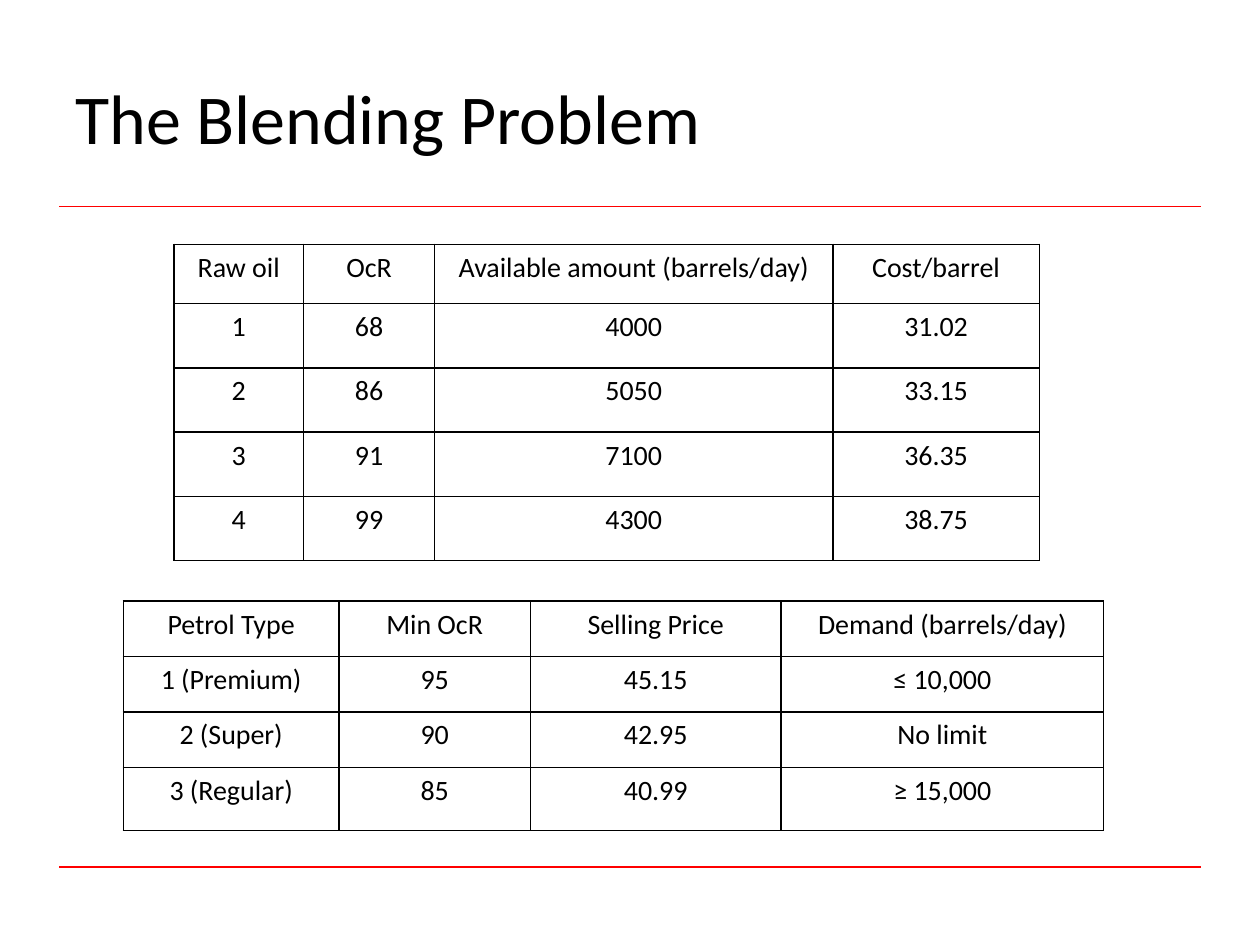
from dataclasses import dataclass

from lxml.etree import SubElement
from pptx import Presentation
from pptx.dml.color import RGBColor
from pptx.enum.shapes import MSO_CONNECTOR
from pptx.enum.text import MSO_ANCHOR, PP_ALIGN
from pptx.oxml.ns import qn
from pptx.util import Inches, Pt

SLIDE_WIDTH, SLIDE_HEIGHT = 10, 7.5


@dataclass(frozen=True)
class Theme:
    font: str = "Calibri"
    ink: str = "000000"
    paper: str = "FFFFFF"
    accent: str = "FF0000"
    title_size: int = 40
    table_size: int = 16
    line_width: int = 1


THEME = Theme()

RAW_OILS = [
    ["Raw oil", "OcR", "Available amount (barrels/day)", "Cost/barrel"],
    ["1", "68", "4000", "31.02"],
    ["2", "86", "5050", "33.15"],
    ["3", "91", "7100", "36.35"],
    ["4", "99", "4300", "38.75"],
]
PETROLS = [
    ["Petrol Type", "Min OcR", "Selling Price", "Demand (barrels/day)"],
    ["1 (Premium)", "95", "45.15", "≤ 10,000"],
    ["2 (Super)", "90", "42.95", "No limit"],
    ["3 (Regular)", "85", "40.99", "≥ 15,000"],
]


def add_run(paragraph, text, size):
    run = paragraph.add_run()
    run.text = text
    run.font.name = THEME.font
    run.font.size = Pt(size)
    run.font.bold = False
    run.font.color.rgb = RGBColor.from_string(THEME.ink)


def add_rule(slide, top):
    """Draw a horizontal rule with equal side margins."""
    margin = 0.47
    rule = slide.shapes.add_connector(
        MSO_CONNECTOR.STRAIGHT,
        Inches(margin), Inches(top), Inches(SLIDE_WIDTH - margin), Inches(top),
    )
    rule.line.color.rgb = RGBColor.from_string(THEME.accent)
    rule.line.width = Pt(THEME.line_width)
    SubElement(rule.element.spPr, qn("a:effectLst"))


def add_title(slide, text):
    box = slide.shapes.add_textbox(
        Inches(0.5), Inches(0.3), Inches(7.23), Inches(1.25)
    )
    frame = box.text_frame
    frame.word_wrap = True
    frame.vertical_anchor = MSO_ANCHOR.MIDDLE
    add_run(frame.paragraphs[0], text, THEME.title_size)


def add_borders(cell):
    """Outline a cell; borders must come before its fill in the XML."""
    properties = cell._tc.get_or_add_tcPr()
    for position, side in enumerate(("lnL", "lnR", "lnT", "lnB")):
        border = SubElement(properties, qn(f"a:{side}"), w=str(Pt(THEME.line_width)))
        fill = SubElement(border, qn("a:solidFill"))
        SubElement(fill, qn("a:srgbClr"), val=THEME.ink)
        properties.insert(position, border)


def add_grid(slide, left, top, columns, heights, rows):
    """Add a bordered table with the given column widths and row heights."""
    table = slide.shapes.add_table(
        len(rows), len(columns), Inches(left), Inches(top),
        Inches(sum(columns)), Inches(sum(heights)),
    ).table
    table.first_row = table.horz_banding = False
    for column, width in zip(table.columns, columns):
        column.width = Inches(width)
    for row, height, texts in zip(table.rows, heights, rows):
        row.height = Inches(height)
        for cell, text in zip(row.cells, texts):
            cell.fill.solid()
            cell.fill.fore_color.rgb = RGBColor.from_string(THEME.paper)
            add_borders(cell)
            paragraph = cell.text_frame.paragraphs[0]
            paragraph.alignment = PP_ALIGN.CENTER
            add_run(paragraph, text, THEME.table_size)


def main():
    presentation = Presentation()
    presentation.slide_width = Inches(SLIDE_WIDTH)
    presentation.slide_height = Inches(SLIDE_HEIGHT)
    slide = presentation.slides.add_slide(presentation.slide_layouts[6])

    # Rules that frame the content
    for top in (6.88, 1.64):
        add_rule(slide, top)

    # Heading
    add_title(slide, "The Blending Problem")

    # Petrol products, then raw oils
    add_grid(slide, 0.98, 4.77, [1.71, 1.52, 1.99, 2.56],
             [0.44] * 3 + [0.5], PETROLS)
    add_grid(slide, 1.38, 1.94, [1.03, 1.04, 3.16, 1.64],
             [0.47] + [0.51] * 4, RAW_OILS)

    presentation.save("out.pptx")


if __name__ == "__main__":
    main()
